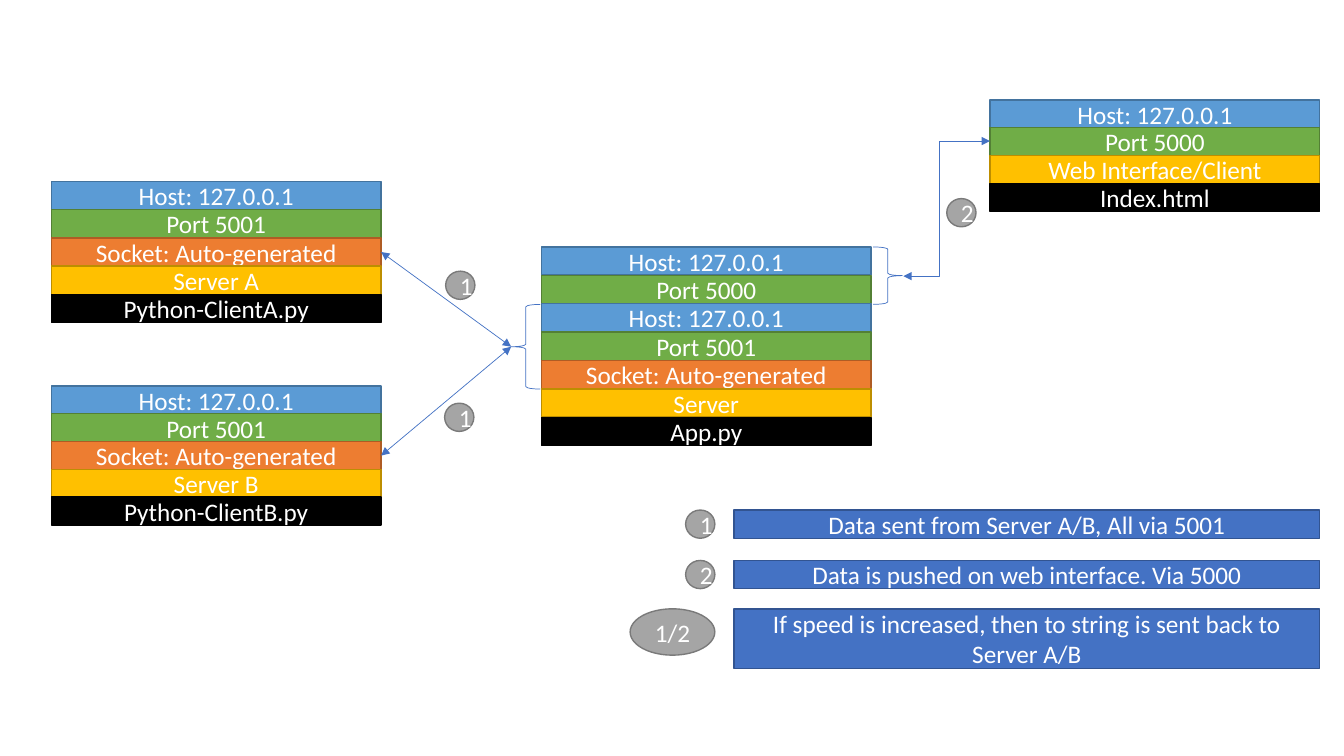
from lxml import etree
from pptx import Presentation, util as u
from pptx.dml.color import RGBColor
from pptx.enum import shapes, text
from pptx.oxml import ns

COLORS = {
    "host": ("5B9BD5", "43739E"),
    "port": ("70AD47", "538035"),
    "socket": ("ED7D31", "AF5C24"),
    "role": ("FFC000", "BD8E00"),
    "file": ("000000", "000000"),
    "step": ("A5A5A5", "7A7A7A"),
    "note": ("4472C4", "325491"),
    "link": "4472C4",
    "words": "FFFFFF",
}
ROW = 0.28        # height of one row
COLUMN = 3.27     # width of one stack
BADGE = 0.29      # width of a step badge and of a brace
SHAPE = shapes.MSO_SHAPE
LINK = shapes.MSO_CONNECTOR

deck = Presentation()
deck.slide_width, deck.slide_height = u.Inches(13.33), u.Inches(7.5)
slide = deck.slides.add_slide(deck.slide_layouts[6])


def add_block(kind, left, top, width, height, role, words=None):
    """Add a filled block with centred words, or an outline if there are none."""
    block = slide.shapes.add_shape(kind, *map(u.Inches, (left, top, width, height)))
    block.shadow.inherit = False
    if words is None:
        block.fill.background()
        block.line.color.rgb = RGBColor.from_string(COLORS[role])
        block.line.width = u.Pt(0.5)
        return block
    fill, edge = COLORS[role]
    block.fill.solid()
    block.fill.fore_color.rgb = RGBColor.from_string(fill)
    block.line.color.rgb = RGBColor.from_string(edge)
    block.line.width = u.Pt(1)
    block.text_frame.word_wrap = True
    block.text_frame.vertical_anchor = text.MSO_ANCHOR.MIDDLE
    paragraph = block.text_frame.paragraphs[0]
    paragraph.text = words
    paragraph.alignment = text.PP_ALIGN.CENTER
    paragraph.font.name, paragraph.font.size = "Calibri", u.Pt(18)
    paragraph.font.color.rgb = RGBColor.from_string(COLORS["words"])
    return block


def add_link(kind, start, end):
    """Add a thin connector with an arrowhead at both ends."""
    link = slide.shapes.add_connector(kind, *map(u.Inches, start + end))
    link.line.color.rgb = RGBColor.from_string(COLORS["link"])
    link.line.width = u.Pt(0.5)
    line = link.line._get_or_add_ln()
    for tip in ("a:headEnd", "a:tailEnd"):
        etree.SubElement(line, ns.qn(tip)).set("type", "triangle")
    etree.SubElement(link._element.spPr, ns.qn("a:effectLst"))
    return link


# Stacks: left edge, top of the first row, top of the last row, rows
HOST = ("host", "Host: 127.0.0.1")
WEB_PORT, DATA_PORT = ("port", "Port 5000"), ("port", "Port 5001")
SOCKET = ("socket", "Socket: Auto-generated")
stacks = {
    "client A": (0.51, 1.80, 2.92, [HOST, DATA_PORT, SOCKET,
                 ("role", "Server A"), ("file", "Python-ClientA.py")]),
    "client B": (0.51, 3.83, 4.93, [HOST, DATA_PORT, SOCKET,
                 ("role", "Server B"), ("file", "Python-ClientB.py")]),
    "app": (5.37, 2.45, 4.14, [HOST, WEB_PORT, HOST, DATA_PORT, SOCKET,
            ("role", "Server"), ("file", "App.py")]),
    "web": (9.82, 0.99, 1.82, [HOST, WEB_PORT,
            ("role", "Web Interface/Client"), ("file", "Index.html")]),
}
sockets = {}
for stack, (left, first, last, rows) in stacks.items():
    pitch = (last - first) / (len(rows) - 1)
    for index, (role, words) in enumerate(rows):
        row = add_block(SHAPE.RECTANGLE, left, first + index * pitch,
                        COLUMN, ROW, role, words)
        if role == "socket":
            sockets[stack] = row

# Braces around the data side and the web side of the app
data_brace = add_block(SHAPE.LEFT_BRACE, 5.07, 3.02, BADGE, 3 * ROW, "link")
add_block(SHAPE.RIGHT_BRACE, 8.66, 2.45, BADGE, 2 * ROW + 0.01, "link")

for client, height in (("client A", 2.49), ("client B", 4.52)):
    data_link = add_link(LINK.STRAIGHT, (3.78, height), (5.07, 3.45))
    data_link.begin_connect(sockets[client], 3)
    data_link.end_connect(data_brace, 1)

web_link = add_link(LINK.ELBOW, (8.96, 2.74), (9.82, 1.40))
bend = etree.SubElement(web_link._element.spPr.prstGeom.get_or_add_avLst(), ns.qn("a:gd"))
bend.set("name", "adj1")
bend.set("fmla", "val 41500")

# Step badges on the links
for step, left, top in (("1", 4.42, 2.69), ("1", 4.41, 4.00), ("2", 9.39, 1.97)):
    add_block(SHAPE.OVAL, left, top, BADGE, ROW, "step", step)

# Legend: badges end at one right edge, notes share one column
BADGE_RIGHT, NOTE_LEFT, NOTE_WIDTH = 7.09, 7.28, 5.81
legend = [
    ("1", 5.06, BADGE, ROW, ROW, "Data sent from Server A/B, All via 5001"),
    ("2", 5.56, BADGE, ROW, ROW, "Data is pushed on web interface. Via 5000"),
    ("1/2", 6.04, 0.84, 0.46, 0.59,
     "If speed is increased, then to string is sent back to Server A/B"),
]
for step, top, badge_width, badge_height, note_height, note in legend:
    add_block(SHAPE.OVAL, BADGE_RIGHT - badge_width, top,
              badge_width, badge_height, "step", step)
    add_block(SHAPE.RECTANGLE, NOTE_LEFT, top, NOTE_WIDTH, note_height, "note", note)

deck.save("out.pptx")
